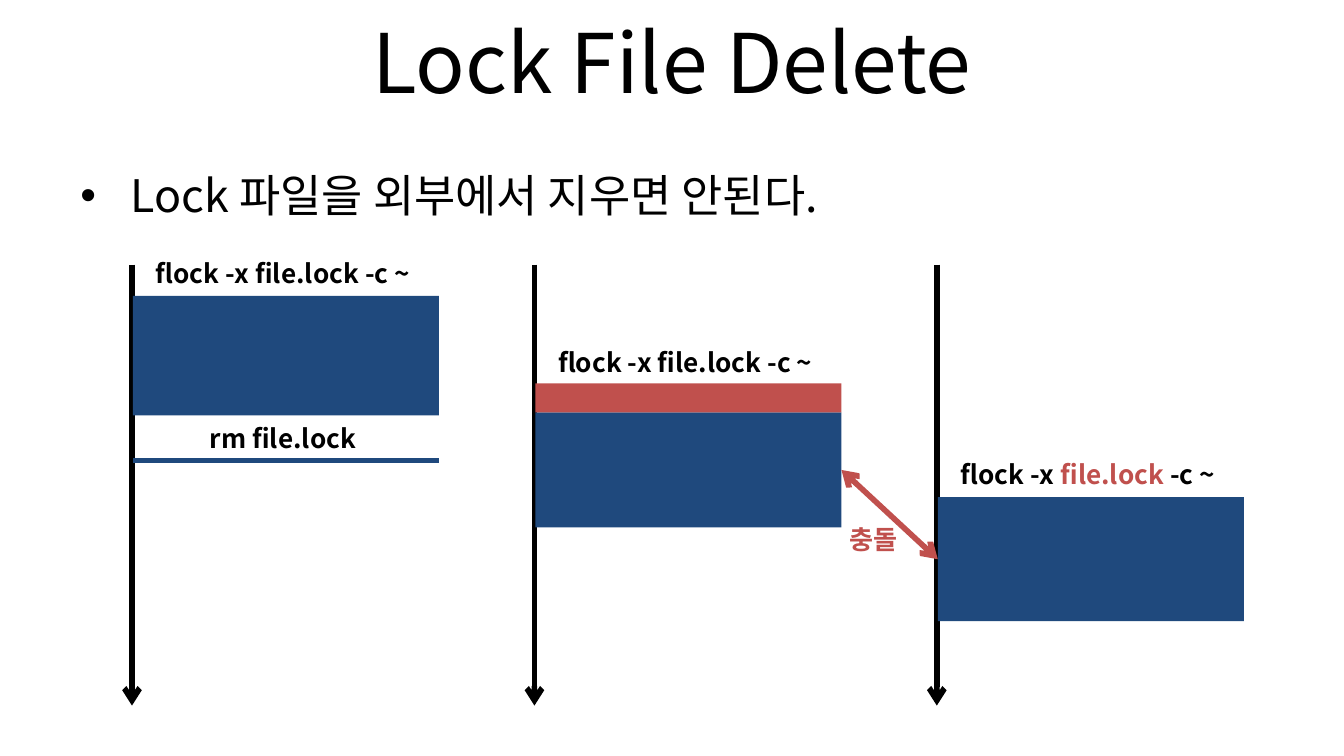
import pptx
import pptx.dml.color
import pptx.enum.shapes
import pptx.enum.text
import pptx.oxml.ns
import pptx.util
from lxml import etree

Pt = pptx.util.Pt
qn = pptx.oxml.ns.qn
SHAPES = pptx.enum.shapes.MSO_SHAPE
ALIGN = pptx.enum.text.PP_ALIGN
ANCHOR = pptx.enum.text.MSO_ANCHOR


class Theme:
    font = "Noto Sans CJK KR"
    black = pptx.dml.color.RGBColor.from_string("000000")
    blue = pptx.dml.color.RGBColor.from_string("1F497D")
    red = pptx.dml.color.RGBColor.from_string("C0504D")
    title_size = 44
    body_size = 24
    label_size = 14
    line_width = 3


class SlideBuilder:
    def __init__(self, presentation, theme):
        self.theme = theme
        self.slide = presentation.slides.add_slide(presentation.slide_layouts[6])

    def add_text(self, shape, runs, size, anchor, bold=False, align=ALIGN.CENTER):
        frame = shape.text_frame
        frame.word_wrap = True
        frame.vertical_anchor = anchor
        paragraph = frame.paragraphs[0]
        paragraph.alignment = align
        for text, color in runs:
            run = paragraph.add_run()
            run.text = text
            values = {"name": self.theme.font, "size": Pt(size), "bold": bold}
            for name, value in values.items():
                setattr(run.font, name, value)
            run.font.color.rgb = color
            east_asian = etree.SubElement(run._r.get_or_add_rPr(), qn("a:ea"))
            east_asian.set("typeface", self.theme.font)
        return paragraph

    def title(self, text, left, top, width, height):
        box = self.slide.shapes.add_textbox(Pt(left), Pt(top), Pt(width), Pt(height))
        self.add_text(box, [(text, self.theme.black)], self.theme.title_size, ANCHOR.MIDDLE)

    def bullet(self, text, left, top, width, height, indent=27):
        box = self.slide.shapes.add_textbox(Pt(left), Pt(top), Pt(width), Pt(height))
        paragraph = self.add_text(box, [(text, self.theme.black)], self.theme.body_size,
                                  ANCHOR.TOP, align=ALIGN.LEFT)
        paragraph.line_spacing = 1.5
        properties = paragraph._p.get_or_add_pPr()
        properties.set("marL", str(Pt(indent)))
        properties.set("indent", str(-Pt(indent)))
        font = etree.SubElement(properties, qn("a:buFont"))
        font.set("typeface", "Arial")
        etree.SubElement(properties, qn("a:buChar")).set("char", "•")

    def label(self, runs, left, top, width, height=24.5):
        shape = self.slide.shapes.add_shape(
            SHAPES.ROUNDED_RECTANGLE, Pt(left), Pt(top), Pt(width), Pt(height))
        shape.adjustments[0] = 0.18
        shape.shadow.inherit = False
        shape.fill.background()
        shape.line.fill.background()
        self.add_text(shape, runs, self.theme.label_size, ANCHOR.MIDDLE, bold=True)

    def block(self, left, top, width, height, color):
        shape = self.slide.shapes.add_shape(
            SHAPES.RECTANGLE, Pt(left), Pt(top), Pt(width), Pt(height))
        shape.shadow.inherit = False
        shape.fill.solid()
        shape.fill.fore_color.rgb = color
        shape.line.fill.background()

    def line(self, start, end, color, arrows=()):
        connector = self.slide.shapes.add_connector(
            pptx.enum.shapes.MSO_CONNECTOR.STRAIGHT, *map(Pt, start + end))
        connector.line.color.rgb = color
        connector.line.width = Pt(self.theme.line_width)
        properties = connector._element.spPr
        outline = properties.get_or_add_ln()
        for arrow in arrows:
            etree.SubElement(outline, qn("a:" + arrow)).set("type", "arrow")
        etree.SubElement(properties, qn("a:effectLst"))


def main():
    presentation = pptx.Presentation()
    presentation.slide_width = Pt(720)
    presentation.slide_height = Pt(405)
    theme = Theme()
    builder = SlideBuilder(presentation, theme)

    builder.title("Lock File Delete", 36, -1.5, 648, 68)
    builder.bullet("Lock 파일을 외부에서 지우면 안된다.", 36, 72, 648, 58)

    width = 164
    first, second, third = [71.2 + 215.6 * column for column in range(3)]
    for left in (first, second, third):
        builder.line((left - 0.5, 141.8), (left - 0.5, 378), theme.black, ["tailEnd"])

    command = [("flock -x file.lock -c ~ ", theme.black)]
    conflict_command = [("flock -x ", theme.black), ("file.lock", theme.red),
                        (" -c ~ ", theme.black)]
    for runs, left, top in (
        (command, first, 134.3),
        ([("rm file.lock ", theme.black)], first, 222.5),
        (command, second, 181.5),
        (conflict_command, third, 242),
    ):
        builder.label(runs, left, top, width)

    for left, top, height, color in (
        (first, 158.6, 64, theme.blue),
        (second, 221, 61.6, theme.blue),
        (second, 205.4, 15.6, theme.red),
        (third, 266.4, 66.4, theme.blue),
    ):
        builder.block(left, top, width, height, color)

    builder.line((first, 246.8), (first + width, 246.8), theme.blue)
    builder.line((second + width, 251.8), (third, 299.6), theme.red,
                 ["headEnd", "tailEnd"])
    builder.label([("충돌", theme.red)], 445.2, 276.5, 45.4)

    presentation.save("out.pptx")


if __name__ == "__main__":
    main()
